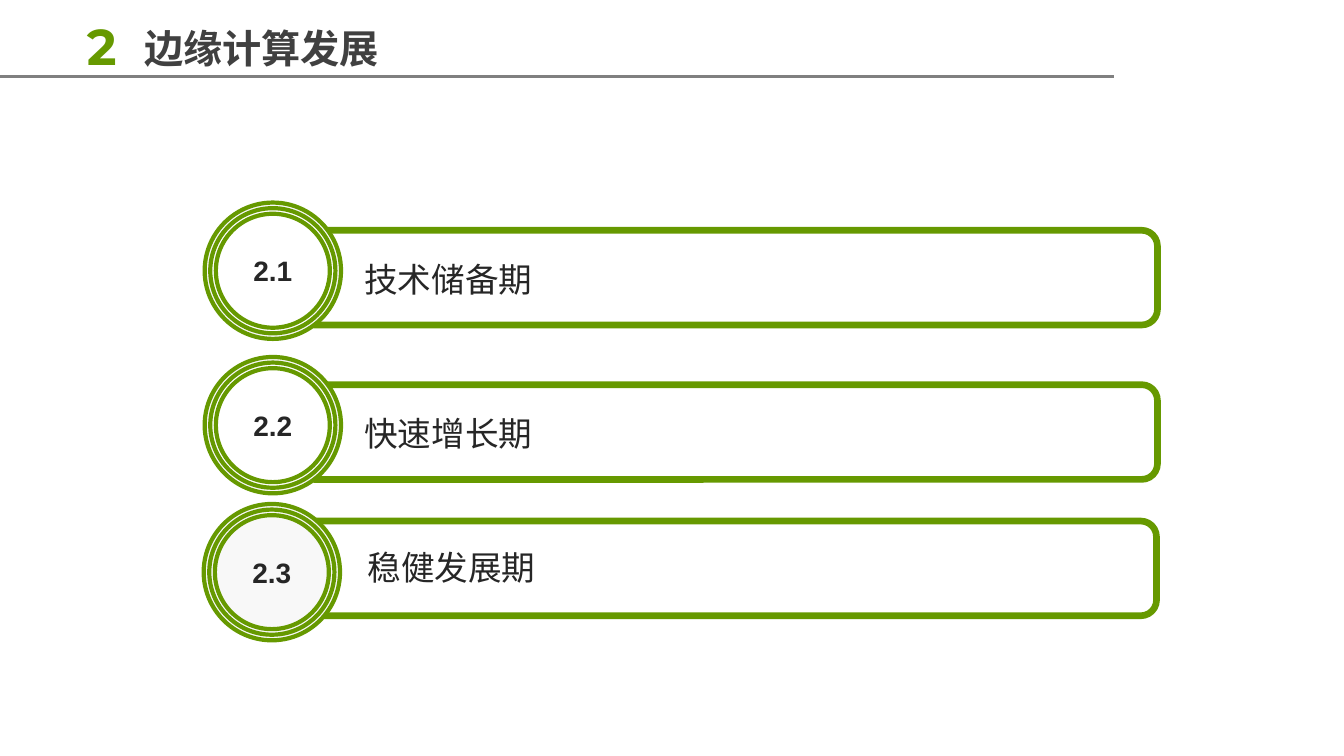
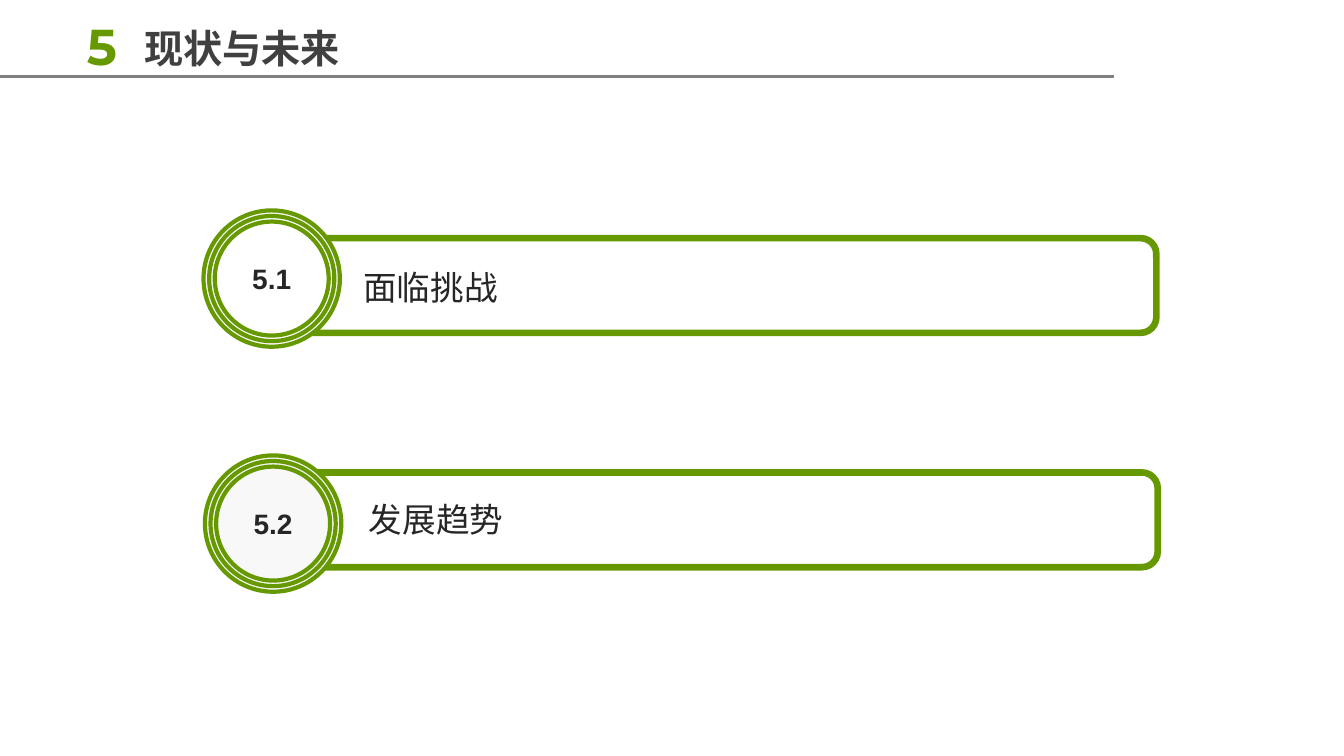
from pptx import Presentation
from pptx.dml.color import RGBColor
from pptx.enum.shapes import MSO_CONNECTOR as Connector, MSO_SHAPE as Shape
from pptx.enum.text import MSO_ANCHOR as Anchor, MSO_AUTO_SIZE as AutoSize, PP_ALIGN as Align
from pptx.oxml.ns import qn
from pptx.util import Pt
from lxml.etree import SubElement

GREEN = RGBColor(0x66, 0x99, 0x00)
GREY = RGBColor(0x80, 0x80, 0x80)
TITLE_GREY = RGBColor(0x40, 0x40, 0x40)
INK = RGBColor(0x26, 0x26, 0x26)
WHITE = RGBColor(0xFF, 0xFF, 0xFF)
PALE = RGBColor(0xF8, 0xF8, 0xF8)

TITLE_ONLY = 5
BADGE_SIZE = 97.4
RING_STEP = 4
BAR_SIZE = (613.4, 67.7)


class Deck:
    def __init__(self):
        self.presentation = Presentation()
        self.presentation.slide_width = Pt(960)
        self.presentation.slide_height = Pt(540)
        self.slide = None

    def add_slide(self, number, title):
        layout = self.presentation.slide_layouts[TITLE_ONLY]
        self.slide = self.presentation.slides.add_slide(layout)
        self.rule()
        self.title(title)
        self.section_number(number)

    def set_text(self, shape, text, size, color, bold=False, font="Arial",
                 align=Align.LEFT, anchor=Anchor.TOP):
        frame = shape.text_frame
        frame.text = text
        frame.auto_size = AutoSize.NONE
        frame.word_wrap = True
        frame.vertical_anchor = anchor
        paragraph = frame.paragraphs[0]
        paragraph.alignment = align
        paragraph.font.name = font
        paragraph.font.size = Pt(size)
        paragraph.font.bold = bold
        paragraph.font.color.rgb = color
        return frame

    def rule(self):
        line = self.slide.shapes.add_connector(
            Connector.STRAIGHT, Pt(0), Pt(54.7), Pt(795.6), Pt(54.7))
        line.line.color.rgb = GREY
        line.line.width = Pt(2)
        SubElement(line._element.spPr, qn("a:effectLst"))

    def title(self, text):
        title = self.slide.shapes.title
        title.left, title.top, title.width, title.height = map(Pt, (95.8, 13.7, 258.5, 41))
        self.set_text(title, text, 28, TITLE_GREY, bold=True)

    def section_number(self, number):
        box = self.slide.shapes.add_textbox(Pt(5.8), Pt(5.8), Pt(133.9), Pt(53.3))
        frame = self.set_text(box, number, 36, GREEN, bold=True,
                              font="Montserrat", align=Align.CENTER)
        frame.margin_left = frame.margin_right = Pt(9.4)
        frame.margin_top = frame.margin_bottom = Pt(5)
        frame.paragraphs[0].runs[0]._r.get_or_add_rPr().set("spc", "-150")

    def outline(self, kind, left, top, width, height, weight, fill=None):
        shape = self.slide.shapes.add_shape(kind, Pt(left), Pt(top), Pt(width), Pt(height))
        shape.shadow.inherit = False
        shape.line.color.rgb = GREEN
        shape.line.width = Pt(weight)
        if fill is None:
            shape.fill.background()
        else:
            shape.fill.solid()
            shape.fill.fore_color.rgb = fill
        return shape

    def badge(self, number, left, top, middle_fill):
        for index, fill in enumerate((PALE, middle_fill, None)):
            inset = index * RING_STEP
            size = BADGE_SIZE - 2 * inset
            ring = self.outline(Shape.OVAL, left + inset, top + inset, size, size, 3, fill)
        frame = self.set_text(ring, number, 20, INK, bold=True,
                              align=Align.CENTER, anchor=Anchor.MIDDLE)
        frame.margin_left = frame.margin_right = 0
        frame.margin_top = frame.margin_bottom = 0

    def label(self, text, left, top):
        box = self.slide.shapes.add_textbox(Pt(left), Pt(top), Pt(562), Pt(44.6))
        frame = self.set_text(box, text, 24, INK)
        frame.paragraphs[0].line_spacing = 1.3

    def topic(self, number, text, left, top, last):
        bar_drop, label_shift, label_drop = (12.2, 110, 18.7) if last else (19.8, 107, 28)
        self.outline(Shape.ROUNDED_RECTANGLE, left + 67.2, top + bar_drop, *BAR_SIZE, 4.75)
        self.badge(number, left, top, None if last else WHITE)
        self.label(text, left + label_shift, top + label_drop)


SECTIONS = [
    ("2", "边缘计算发展", [("技术储备期", 146.2, 144.7),
                     ("快速增长期", 146.2, 255),
                     ("稳健发展期", 145.5, 360)]),
    ("5", "现状与未来", [("面临挑战", 145.4, 150.3),
                    ("发展趋势", 146.4, 325.3)]),
]


def main():
    deck = Deck()
    for section, title, topics in SECTIONS:
        deck.add_slide(section, title)
        for position, (text, left, top) in enumerate(topics, 1):
            deck.topic(f"{section}.{position}", text, left, top, position == len(topics))
    deck.presentation.save("out.pptx")


if __name__ == "__main__":
    main()
